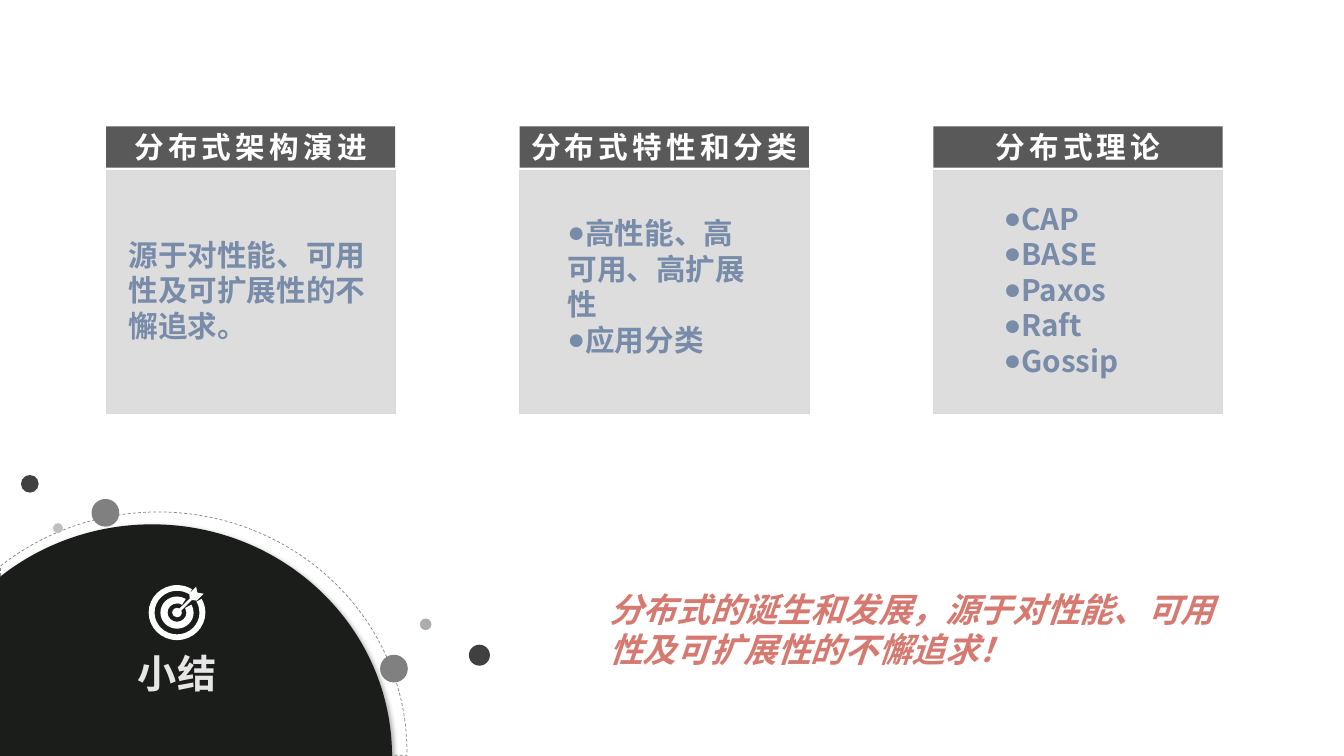
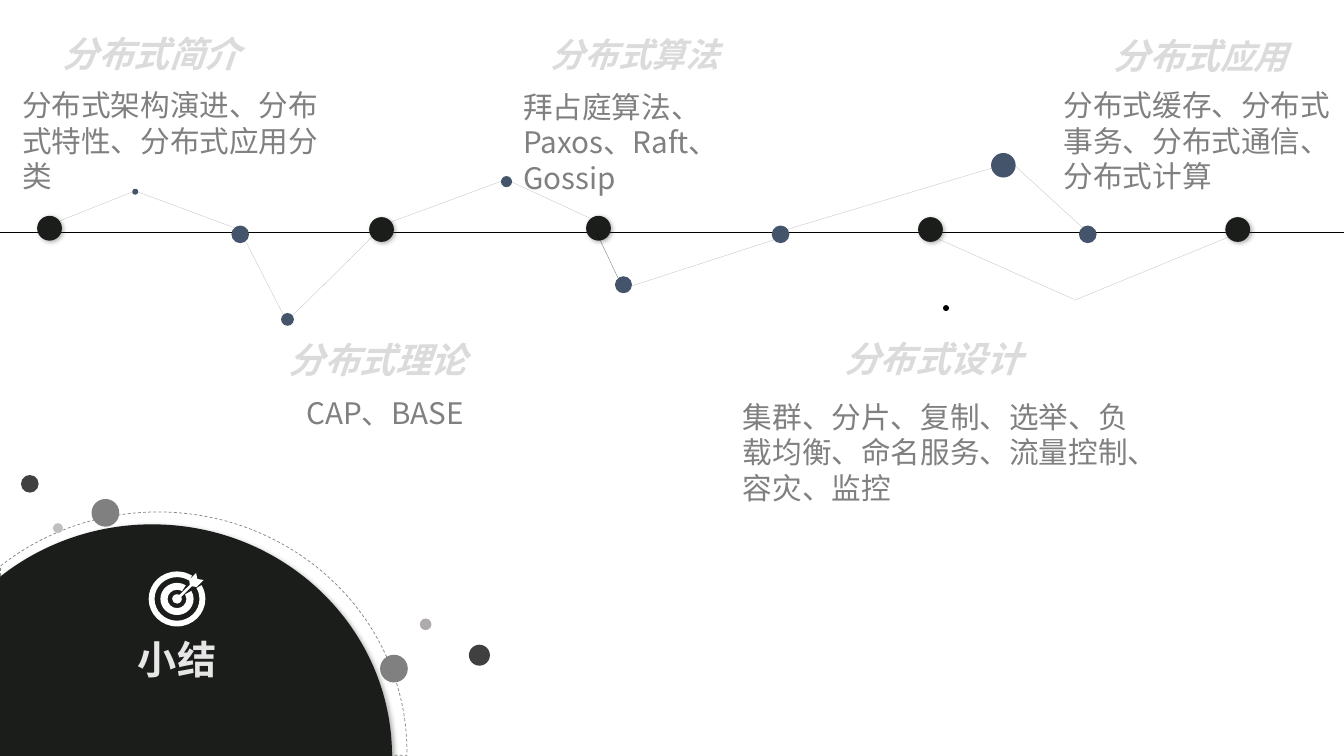
import math

import lxml.etree
import pptx
import pptx.dml.color
import pptx.enum.dml
import pptx.enum.shapes
import pptx.enum.text
import pptx.oxml.ns
import pptx.util

Cm, Pt = pptx.util.Cm, pptx.util.Pt
qn = pptx.oxml.ns.qn
SHAPE = pptx.enum.shapes.MSO_SHAPE
ALIGN = pptx.enum.text.PP_ALIGN
ANCHOR = pptx.enum.text.MSO_ANCHOR

CJK = "Noto Sans CJK SC"
INK, SLATE, BLUE, GRAY = "1A1D1A", "44546A", "788BA9", "808080"
TITLE = "小结"

CARD_LEFT, CARD_STEP, CARD_WIDTH = 5.05, 19.7, 13.77
CARDS = [
    ("分布式架构演进", (5.87, 11.14, 12.01, 5.38), False,
     ["源于对性能、可用性及可扩展性的不懈追求。"]),
    ("分布式特性和分类", (26.77, 10.11, 9.75, 7.09), True,
     ["高性能、高可用、高扩展性", "应用分类"]),
    ("分布式理论", (47.54, 9.42, 7.59, 8.81), True,
     ["CAP", "BASE", "Paxos", "Raft", "Gossip"]),
]
MOTTO = "分布式的诞生和发展，源于对性能、可用性及可扩展性的不懈追求！"

STAGES = [
    ([("分布式简介", 48)], (2.74, 1.4, 10.59, 2.31), ALIGN.LEFT,
     "分布式架构演进、分布式特性、分布式应用分类", (0.8, 4.03, 14.83, 5.38)),
    ([("分布式理论", 48)], (13.49, 15.95, 10.87, 2.31), ALIGN.LEFT,
     "CAP、BASE", (14.33, 18.69, 8.28, 3.69)),
    ([("分布式算法", 45.4)], (25.98, 1.5, 10.85, 2.18), ALIGN.LEFT,
     "拜占庭算法、Paxos、Raft、Gossip", (24.66, 4.09, 12.04, 5.38)),
    ([("分布式设计", 48)], (38.68, 15.9, 11.51, 2.31), ALIGN.CENTER,
     "集群、分片、复制、选举、负载均衡、命名服务、流量控制、容灾、监控",
     (35.13, 18.85, 19.43, 5.38)),
    ([("分布式", 48), ("应用", 45.4)], (51.36, 1.5, 11.61, 2.31), ALIGN.CENTER,
     "分布式缓存、分布式事务、分布式通信、分布式计算", (50.4, 4.03, 13.39, 5.38)),
]
AXIS_Y = 11.07
LINKS = [
    (2.84, 10.52, 6.43, 9.09, 21), (6.43, 9.09, 11.18, 10.85, 21),
    (11.71, 11.51, 13.49, 14.99, 21), (13.92, 15.04, 17.7, 11.3, 21),
    (18.62, 10.57, 23.85, 8.64, 21), (28.14, 10.41, 24.31, 8.64, 21),
    (28.37, 11, 29.44, 13.26, 51), (36.83, 11.43, 30.1, 13.61, 21),
    (47.24, 8, 37.49, 10.92, 21), (51.56, 10.85, 48.36, 7.92, 21),
    (51.13, 14.25, 44.68, 11.38, 21), (58.47, 11.3, 51.16, 14.3, 21),
]
MILESTONES = [(2.36, 10.87), (18.17, 10.93), (28.5, 10.87), (44.31, 10.93), (58.94, 10.93)]
NODES = [
    (11.44, 11.16, 0.84, SLATE), (37.17, 11.16, 0.84, SLATE), (51.8, 11.16, 0.84, SLATE),
    (13.69, 15.21, 0.61, SLATE), (24.12, 8.65, 0.53, SLATE), (29.69, 13.56, 0.81, SLATE),
    (47.78, 7.87, 1.17, SLATE), (6.44, 9.13, 0.28, SLATE), (45.05, 14.67, 0.28, "000000"),
]
BUBBLES = [
    (22.83, 31.2, 1, "404040"), (20.27, 29.73, 0.55, "AFABAB"),
    (5.02, 24.42, 1.32, GRAY), (1.42, 23.04, 0.84, "404040"),
    (2.76, 25.15, 0.47, "BFBFBF"), (18.76, 31.84, 1.32, GRAY),
]
ARROW = [(0.11, -0.19), (0.61, -0.67), (0.58, -0.9), (0.91, -1.23), (0.97, -0.95),
         (1.27, -0.9), (0.94, -0.57), (0.71, -0.6), (0.2, -0.09)]


def rgb(value):
    return pptx.dml.color.RGBColor.from_string(value)


def paint(fill, color, alpha=100):
    fill.solid()
    fill.fore_color.rgb = rgb(color)
    if alpha < 100:
        clr = fill._xPr.find(qn("a:solidFill"))[0]
        lxml.etree.SubElement(clr, qn("a:alpha"), val=str(alpha * 1000))


def style(sp, fill=None, alpha=100, line=None, width=1, line_alpha=100):
    sp.shadow.inherit = False
    if fill:
        paint(sp.fill, fill, alpha)
    else:
        sp.fill.background()
    if line:
        paint(sp.line.fill, line, line_alpha)
        sp.line.width = Pt(width)
    else:
        sp.line.fill.background()
    return sp


def drop_shadow(sp):
    effects = sp._element.spPr.find(qn("a:effectLst"))
    shadow = lxml.etree.SubElement(effects, qn("a:outerShdw"), blurRad=str(Pt(6)),
                                   dist=str(Pt(3)), dir="2700000", rotWithShape="0")
    clr = lxml.etree.SubElement(shadow, qn("a:srgbClr"), val="404040")
    lxml.etree.SubElement(clr, qn("a:alpha"), val="40000")


def place(box):
    return [Cm(v) for v in box]


def write(sp, paragraphs, size=40, font=CJK, color=GRAY, bold=False, italic=False,
          align=ALIGN.LEFT, anchor=ANCHOR.TOP, spacing=0, bullet=False):
    tf = sp.text_frame
    tf.word_wrap = True
    tf.auto_size = pptx.enum.text.MSO_AUTO_SIZE.NONE
    tf.vertical_anchor = anchor
    for i, runs in enumerate(paragraphs):
        p = tf.add_paragraph() if i else tf.paragraphs[0]
        if isinstance(runs, str):
            runs = [(runs, size)]
        if bullet:
            pPr = p._p.get_or_add_pPr()
            pPr.set("marL", "0")
            pPr.set("indent", str(-Cm(1.5)))
            lxml.etree.SubElement(pPr, qn("a:buFont"), typeface="Arial")
            lxml.etree.SubElement(pPr, qn("a:buChar"), char="●")
        p.alignment = align
        p.line_spacing = Pt(1.2 * max(points for _, points in runs))
        for text, points in runs:
            r = p.add_run()
            r.text = text
            r.font.size = Pt(points)
            r.font.name = font
            r.font.bold = bold
            r.font.italic = italic
            r.font.color.rgb = rgb(color)
            rPr = r._r.get_or_add_rPr()
            lxml.etree.SubElement(rPr, qn("a:ea"), typeface=CJK)
            if spacing:
                rPr.set("spc", str(round(spacing * 100)))


def text_box(slide, box, paragraphs, **fmt):
    write(slide.shapes.add_textbox(*place(box)), paragraphs, **fmt)


def rect(slide, box, **look):
    return style(slide.shapes.add_shape(SHAPE.RECTANGLE, *place(box)), **look)


def dot(slide, x, y, d, color):
    box = place((x - d / 2, y - d / 2, d, d))
    return style(slide.shapes.add_shape(SHAPE.OVAL, *box), fill=color)


def connect(slide, x1, y1, x2, y2, width, alpha=100):
    kind = pptx.enum.shapes.MSO_CONNECTOR.STRAIGHT
    line = slide.shapes.add_connector(kind, *place((x1, y1, x2, y2)))
    paint(line.line.fill, "000000", alpha)
    line.line.width = Pt(width)
    lxml.etree.SubElement(line._element.spPr, qn("a:effectLst"))


def arc(cx, cy, rx, ry, *degrees):
    angles = [math.radians(d) for d in degrees]
    steps = [(cx + rx * math.cos(angles[0]), cy - ry * math.sin(angles[0]))]
    for a, b in zip(angles, angles[1:]):
        k = 4 / 3 * math.tan((b - a) / 4)
        steps.append((
            cx + rx * (math.cos(a) - k * math.sin(a)), cy - ry * (math.sin(a) + k * math.cos(a)),
            cx + rx * (math.cos(b) + k * math.sin(b)), cy - ry * (math.sin(b) - k * math.cos(b)),
            cx + rx * math.cos(b), cy - ry * math.sin(b)))
    return steps


def outline(slide, contours):
    builder = None
    for contour in contours:
        points = [place(step[-2:]) for step in contour]
        if builder is None:
            builder = slide.shapes.build_freeform(*points[0])
        else:
            builder.move_to(*points[0])
        builder.add_line_segments(points[1:], close=False)
        builder.add_line_segments([], close=True)
    sp = builder.convert_to_shape()
    segments = list(sp._element.spPr.iter(qn("a:lnTo")))
    steps = [step for contour in contours for step in contour[1:]]
    for segment, step in zip(segments, steps):
        if len(step) == 6:
            segment.tag = qn("a:cubicBezTo")
            for i in (0, 2):
                pt = lxml.etree.Element(qn("a:pt"), x=str(Cm(step[i]) - sp.left),
                                        y=str(Cm(step[i + 1]) - sp.top))
                segment.insert(i // 2, pt)
    return sp


def dome(slide, cx, cy, rx, ry, left, bottom):
    cut = math.degrees(math.acos((left - cx) / rx))
    return outline(slide, [arc(cx, cy, rx, ry, 0, 90, cut) + [(left, bottom), (cx + rx, bottom)]])


def target(slide, cx, cy):
    def ring(r, *degrees):
        return arc(cx, cy, r, 0.97 * r, *degrees)
    sweep = (58, 90, 180, 270, 360, 390)
    bands = [ring(outer, *sweep) + ring(inner, *sweep[::-1])
             for outer, inner in [(1.35, 1.07), (0.79, 0.45)]]
    arrow = [(cx + x, cy + y) for x, y in ARROW] + ring(0.23, 25, -90, -180, -300)
    style(outline(slide, bands + [arrow]), fill="FFFFFF")


def add_summary(slide, icon_y):
    for bubble in BUBBLES[:2]:
        dot(slide, *bubble)
    halo = style(dome(slide, 7.52, 35.81, 11.86, 11.43, 0.03, 35.97),
                 line="000000", line_alpha=48)
    halo.line.dash_style = pptx.enum.dml.MSO_LINE.DASH
    drop_shadow(style(dome(slide, 7.24, 36.02, 11.43, 11.05, -1.14, 36.27), fill=INK))
    for bubble in BUBBLES[2:]:
        dot(slide, *bubble)
    title = slide.shapes.title
    title.left, title.top, title.width, title.height = place((3.25, icon_y + 1.62, 10.39, 2.51))
    write(title, [TITLE], size=52.9, font="Arial", color="E7E6E6", bold=True,
          align=ALIGN.CENTER, spacing=0.9)
    slide.shapes._spTree.append(title._element)
    target(slide, 8.43, icon_y)


def cards_slide(prs):
    slide = prs.slides.add_slide(prs.slide_layouts[5])
    lefts = [CARD_LEFT + i * CARD_STEP for i in range(len(CARDS))]
    for left, card in zip(lefts, CARDS):
        header = rect(slide, (left, 6.02, CARD_WIDTH, 1.96), fill="595959")
        write(header, [card[0]], color="FFFFFF", bold=True, align=ALIGN.CENTER,
              anchor=ANCHOR.MIDDLE, spacing=5.7)
    for left in lefts:
        rect(slide, (left, 8.1, CARD_WIDTH, 11.58), fill="D9D9D9", alpha=89, line="D9D9D9")
    text_box(slide, (28.76, 27.91, 30.48, 4.14), [MOTTO], size=45.4, color="D67A71",
             bold=True, italic=True)
    add_summary(slide, 29.17)
    for _, box, bullet, lines in CARDS:
        text_box(slide, box, lines, color=BLUE, bold=True, bullet=bullet)


def timeline_slide(prs):
    slide = prs.slides.add_slide(prs.slide_layouts[5])
    connect(slide, 0, AXIS_Y, 64, AXIS_Y, 0.75)
    for x, y in MILESTONES:
        drop_shadow(dot(slide, x, y, 1.18, INK))
    for x1, y1, x2, y2, alpha in LINKS:
        connect(slide, x1, y1, x2, y2, 0.5, alpha)
    for node in NODES:
        dot(slide, *node)
    for heading, heading_box, align, body, body_box in STAGES:
        text_box(slide, heading_box, [heading], font="Calibri", color="DBDBDB",
                 bold=True, italic=True, align=align)
        text_box(slide, body_box, [body])
    add_summary(slide, 28.52)


def main():
    prs = pptx.Presentation()
    prs.slide_width, prs.slide_height = Cm(64), Cm(36)
    cards_slide(prs)
    timeline_slide(prs)
    prs.save("out.pptx")


if __name__ == "__main__":
    main()
